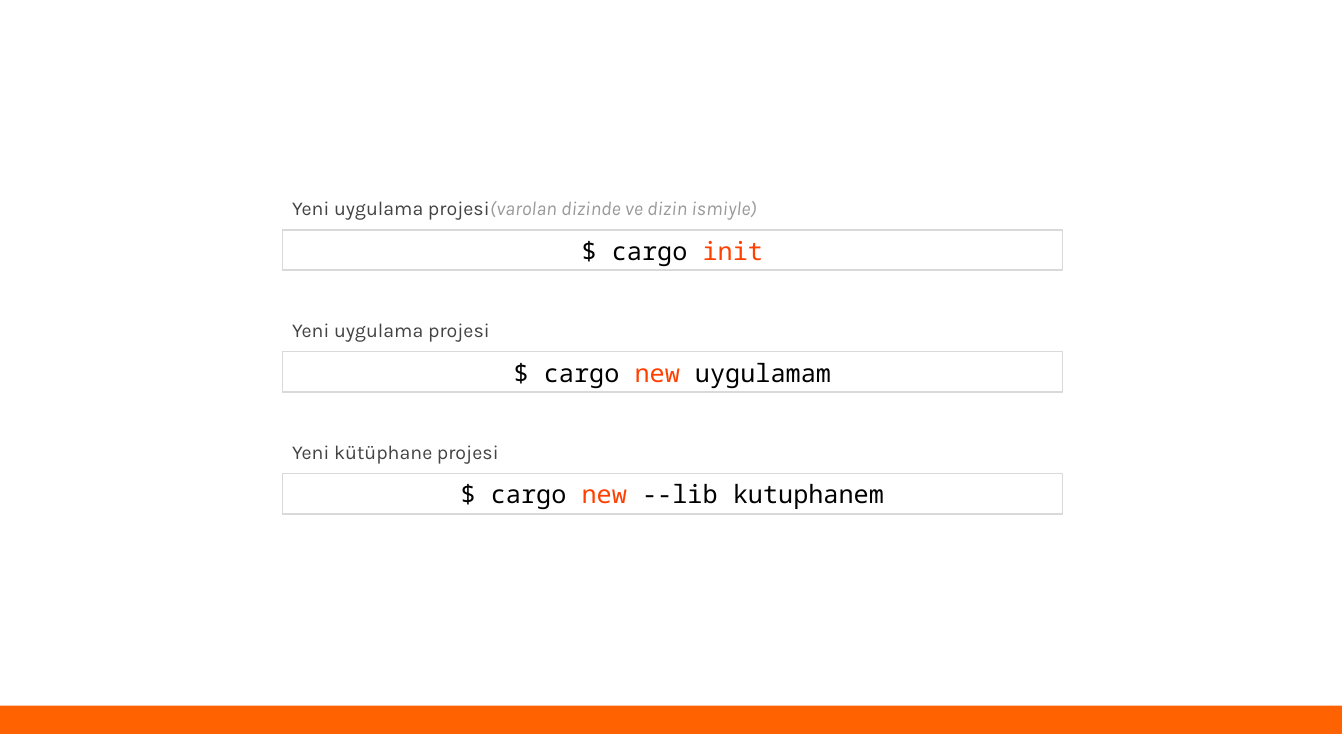
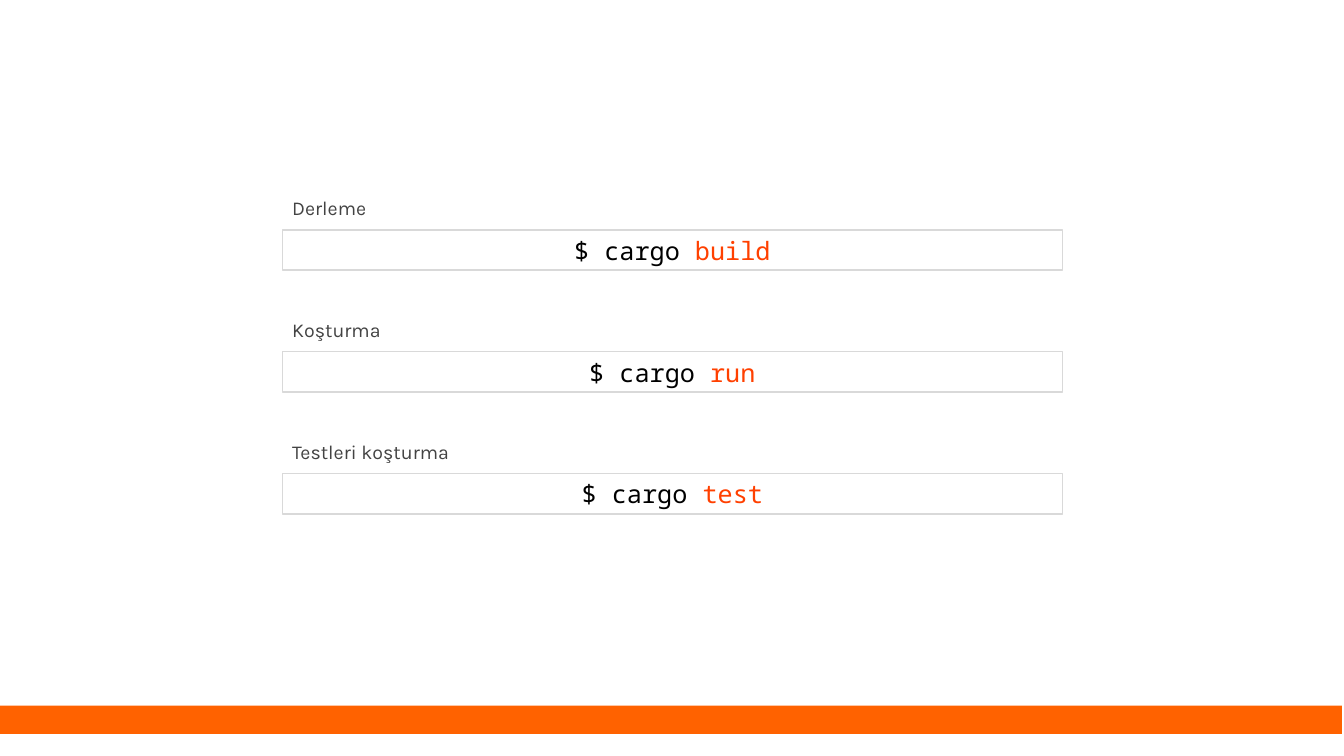
from pptx import Presentation
from pptx.dml.color import RGBColor
from pptx.enum.shapes import MSO_SHAPE as Shape
from pptx.enum.text import MSO_ANCHOR as Anchor, MSO_AUTO_SIZE as AutoSize, PP_ALIGN as Align
from pptx.util import Pt

PAGE_WIDTH, PAGE_HEIGHT = 960, 540
WHITE, BLACK = "FFFFFF", "000000"
ORANGE, ACCENT = "FF6200", "FF4000"
BORDER, LABEL_GREY, NOTE_GREY = "D9D9D9", "434343", "999999"
LABEL_FONT, CODE_FONT = "Karla", "Noto Sans Mono"

LEFT, BOX_WIDTH, BOX_HEIGHT = 201.6, 557.3, 28.8
LABEL_TOP, LABEL_HEIGHT = 132.5, 31.7
LABEL_WIDTHS = (BOX_WIDTH, 311, 311)
ROW_PITCH = 87.1

# Each row: label, note after the label, subcommand, arguments
SLIDES = [
    [
        ("Yeni uygulama projesi", "(varolan dizinde ve dizin ismiyle)", "init", ""),
        ("Yeni uygulama projesi", "", "new", " uygulamam"),
        ("Yeni kütüphane projesi", "", "new", " --lib kutuphanem"),
    ],
    [
        ("Derleme", "", "build", ""),
        ("Koşturma", "", "run", ""),
        ("Testleri koşturma", "", "test", ""),
    ],
]


def color(code):
    return RGBColor.from_string(code)


def add_span(para, text, font, size, code, italic=False):
    if not text:
        return
    span = para.add_run()
    span.text = text
    span.font.name = font
    span.font.size = Pt(size)
    span.font.color.rgb = color(code)
    span.font.italic = italic


def set_margins(frame, side, vertical):
    frame.margin_left = frame.margin_right = Pt(side)
    frame.margin_top = frame.margin_bottom = Pt(vertical)


def add_rectangle(page, left, top, width, height, fill, line=None):
    box = page.shapes.add_shape(Shape.RECTANGLE, Pt(left), Pt(top), Pt(width), Pt(height))
    box.shadow.inherit = False
    box.fill.solid()
    box.fill.fore_color.rgb = color(fill)
    if line:
        box.line.color.rgb = color(line)
        box.line.width = Pt(1)
    else:
        box.line.fill.background()
    return box


def add_label(page, top, width, label, note):
    box = page.shapes.add_textbox(Pt(LEFT), Pt(top), Pt(width), Pt(LABEL_HEIGHT))
    frame = box.text_frame
    frame.word_wrap = True
    frame.auto_size = AutoSize.SHAPE_TO_FIT_TEXT
    set_margins(frame, 7.2, 7.2)
    para = frame.paragraphs[0]
    add_span(para, label, LABEL_FONT, 14, LABEL_GREY)
    add_span(para, note, LABEL_FONT, 14, NOTE_GREY, italic=True)


def add_command(page, top, subcommand, arguments):
    box = add_rectangle(page, LEFT, top, BOX_WIDTH, BOX_HEIGHT, WHITE, BORDER)
    frame = box.text_frame
    frame.word_wrap = True
    frame.vertical_anchor = Anchor.MIDDLE
    set_margins(frame, 7.2, 3.6)
    para = frame.paragraphs[0]
    para.alignment = Align.CENTER
    add_span(para, "$ cargo ", CODE_FONT, 18, BLACK)
    add_span(para, subcommand, CODE_FONT, 18, ACCENT)
    add_span(para, arguments, CODE_FONT, 18, BLACK)


def add_page(deck, rows):
    page = deck.slides.add_slide(deck.slide_layouts[6])
    add_rectangle(page, 0, 504, 958.5, 20.2, ORANGE)
    for index, (label, note, subcommand, arguments) in enumerate(rows):
        top = LABEL_TOP + index * ROW_PITCH
        add_command(page, top + LABEL_HEIGHT, subcommand, arguments)
        add_label(page, top, LABEL_WIDTHS[index], label, note)


def main():
    deck = Presentation()
    deck.slide_width, deck.slide_height = Pt(PAGE_WIDTH), Pt(PAGE_HEIGHT)
    for rows in SLIDES:
        add_page(deck, rows)
    deck.save("out.pptx")


if __name__ == "__main__":
    main()
